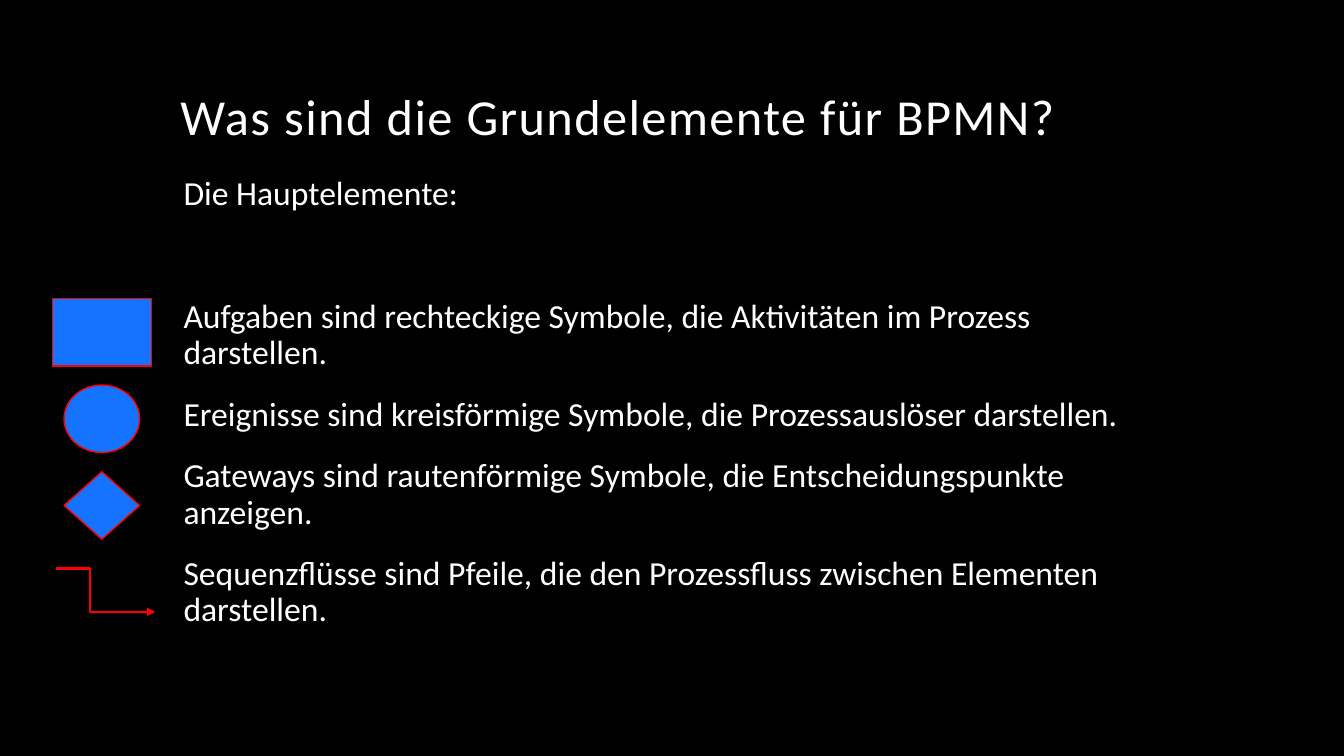
from dataclasses import dataclass
from pptx import Presentation
from pptx.dml.color import RGBColor
from pptx.enum import shapes, text
from pptx.oxml import ns
from pptx.util import Inches, Pt
from lxml import etree


@dataclass(frozen=True)
class Theme:
    back: RGBColor = RGBColor(0, 0, 0)
    ink: RGBColor = RGBColor(255, 255, 255)
    fill: RGBColor = RGBColor(0x14, 0x74, 0xFF)
    edge: RGBColor = RGBColor(255, 0, 0)
    font: str = "Calibri"
    head: Pt = Pt(36)
    body: Pt = Pt(24)
    thin: Pt = Pt(1)
    flow: Pt = Pt(1.5)


THEME = Theme()
TITLE = "Was sind die Grundelemente für BPMN?"
INTRO = "Die Hauptelemente:"
ITEMS = (
    "Aufgaben sind rechteckige Symbole, die Aktivitäten im Prozess darstellen.",
    "Ereignisse sind kreisförmige Symbole, die Prozessauslöser darstellen.",
    "Gateways sind rautenförmige Symbole, die Entscheidungspunkte anzeigen.",
    "Sequenzflüsse sind Pfeile, die den Prozessfluss zwischen Elementen darstellen.",
)
KIND = shapes.MSO_SHAPE
ICONS = (
    (KIND.RECTANGLE, 0.98),
    (KIND.FLOWCHART_CONNECTOR, 0.75),
    (KIND.DIAMOND, 0.75),
)


def apply(item, values):
    for name, value in values.items():
        setattr(item, name, value)


def place(item, left, top, width, height):
    box = dict(left=left, top=top, width=width, height=height)
    apply(item, {name: Inches(size) for name, size in box.items()})


def add(parent, tag, **values):
    return etree.SubElement(parent, ns.qn(tag), values)


def write(para, words, size, **values):
    apply(para, dict(alignment=text.PP_ALIGN.LEFT, line_spacing=0.9, **values))
    run = para.add_run()
    run.text = words
    apply(run.font, dict(name=THEME.font, size=size))
    run.font.color.rgb = THEME.ink
    return run


def frame(holder, anchor):
    box = holder.text_frame
    apply(box, dict(word_wrap=True, auto_size=text.MSO_AUTO_SIZE.NONE,
                    vertical_anchor=anchor))
    return box


def title(slide):
    holder = slide.shapes.title
    place(holder, 1.69, 0, 10, 1.5)
    box = frame(holder, text.MSO_ANCHOR.BOTTOM)
    run = write(box.paragraphs[0], TITLE, THEME.head)
    run.font._element.set("spc", "100")


def body(slide):
    holder = slide.placeholders[1]
    place(holder, 1.72, 1.7, 9.99, 5.51)
    box = frame(holder, text.MSO_ANCHOR.TOP)
    for index, words in enumerate((INTRO, *ITEMS)):
        para = box.add_paragraph() if index else box.paragraphs[0]
        gap = Pt(62 if index == 1 else 18)
        write(para, words, THEME.body, space_before=gap, space_after=Pt(0))
        props = para._p.get_or_add_pPr()
        props.set("marL", "0")
        props.set("indent", "0")
        add(props, "a:buNone")


def icon(slide, kind, width, top):
    left = 1.01 - width / 2
    shape = slide.shapes.add_shape(
        kind, Inches(left), Inches(top), Inches(width), Inches(0.67))
    shape.shadow.inherit = False
    shape.fill.solid()
    shape.fill.fore_color.rgb = THEME.fill
    shape.line.color.rgb = THEME.edge
    shape.line.width = THEME.thin


def flow(slide):
    ends = (Inches(size) for size in (0.56, 5.64, 1.54, 6.07))
    link = slide.shapes.add_connector(shapes.MSO_CONNECTOR.ELBOW, *ends)
    link.line.color.rgb = THEME.edge
    link.line.width = THEME.flow
    props = link._element.spPr
    add(props.find(ns.qn("a:ln")), "a:tailEnd", type="triangle")
    add(props, "a:effectLst")
    bend = props.find(ns.qn("a:prstGeom")).find(ns.qn("a:avLst"))
    add(bend, "a:gd", name="adj1", fmla="val 33700")


def main():
    deck = Presentation()
    apply(deck, dict(slide_width=Inches(13.33), slide_height=Inches(7.5)))
    slide = deck.slides.add_slide(deck.slide_layouts[1])
    slide.background.fill.solid()
    slide.background.fill.fore_color.rgb = THEME.back
    title(slide)
    body(slide)
    for row, (kind, width) in enumerate(ICONS):
        icon(slide, kind, width, 2.96 + 0.86 * row)
    flow(slide)
    deck.save("out.pptx")


if __name__ == "__main__":
    main()
